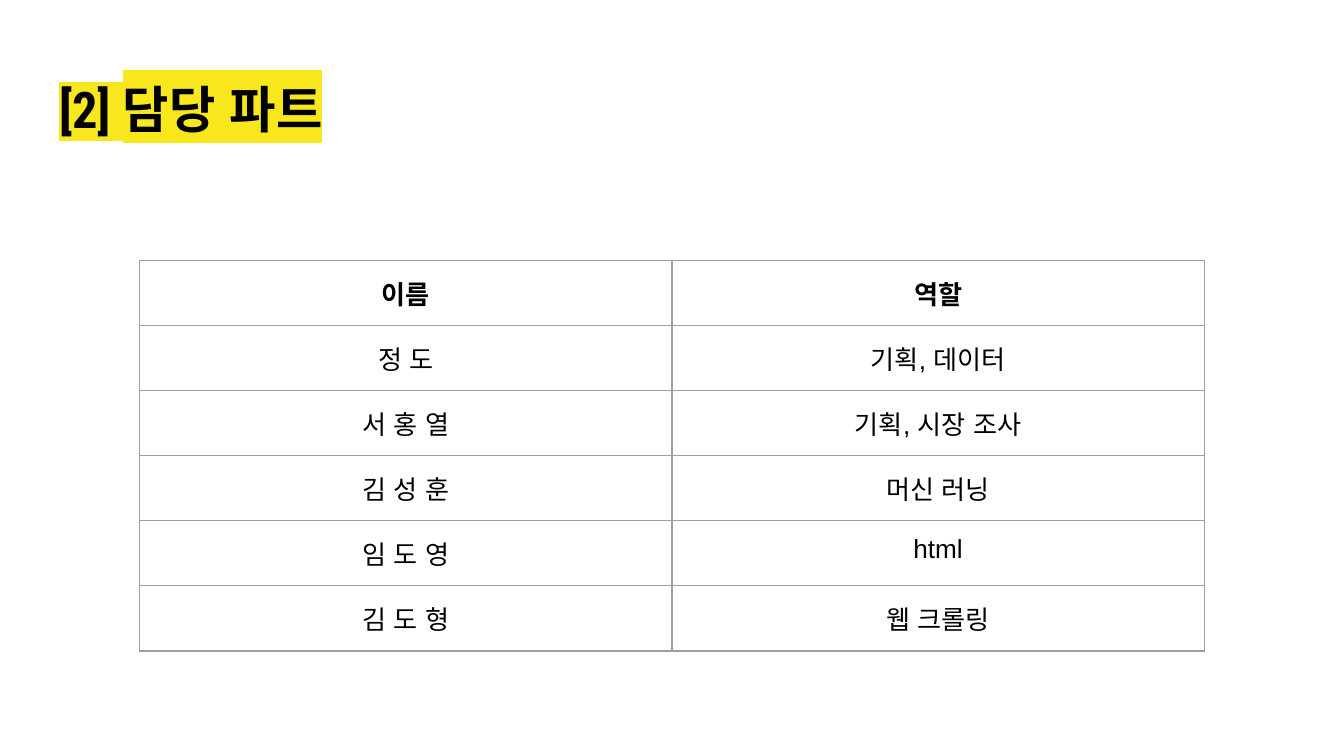
from dataclasses import dataclass

from lxml.etree import SubElement
from pptx import Presentation
from pptx.dml.color import RGBColor
from pptx.enum.lang import MSO_LANGUAGE_ID
from pptx.enum.text import MSO_ANCHOR, MSO_AUTO_SIZE, PP_ALIGN
from pptx.oxml.ns import qn
from pptx.util import Inches, Pt


@dataclass(frozen=True)
class Theme:
    ink: str = "000000"
    paper: str = "FFFFFF"
    marker: str = "F8E71C"
    border: str = "9E9E9E"
    border_width: float = 0.75
    title_font: str = "Roboto Condensed"
    body_font: str = "Arial"
    title_size: int = 27
    body_size: int = 14
    inset: float = 0.1


THEME = Theme()
SLIDE_WIDTH = 10
SLIDE_HEIGHT = SLIDE_WIDTH * 9 / 16
TITLE = "[2] 담당 파트"
HEADER = ("이름", "역할")
MEMBERS = [
    ("정 도", "기획, 데이터"),
    ("서 홍 열", "기획, 시장 조사"),
    ("김 성 훈", "머신 러닝"),
    ("임 도 영", "html"),
    ("김 도 형", "웹 크롤링"),
]
TITLE_MARGIN, TITLE_TOP, TITLE_HEIGHT = 0.34, 0.49, 0.63
TABLE_MARGIN, TABLE_TOP, ROW_HEIGHT = 1.04, 1.94, 0.42


def add_color(parent, tag, color):
    SubElement(SubElement(parent, qn(tag)), qn("a:srgbClr"), val=color)


def write_text(frame, text, *, font, size, bold=False, align=PP_ALIGN.LEFT, highlight=None):
    paragraph = frame.paragraphs[0]
    paragraph.alignment = align
    run = paragraph.add_run()
    run.text = text
    run.font.size = Pt(size)
    run.font.bold = bold
    run.font.language_id = MSO_LANGUAGE_ID.KOREAN
    run.font.color.rgb = RGBColor.from_string(THEME.ink)
    if highlight:
        add_color(run._r.get_or_add_rPr(), "a:highlight", highlight)
    run.font.name = font


def set_insets(target):
    for side in ("left", "right", "top", "bottom"):
        setattr(target, f"margin_{side}", Inches(THEME.inset))


def draw_borders(cell):
    properties = cell._tc.get_or_add_tcPr()
    for position, side in enumerate("LRTB"):
        line = SubElement(properties, qn(f"a:ln{side}"), w=str(Pt(THEME.border_width)))
        add_color(line, "a:solidFill", THEME.border)
        properties.insert(position, line)


def add_title(slide):
    title = slide.shapes.title
    title.left, title.top = Inches(TITLE_MARGIN), Inches(TITLE_TOP)
    title.width = Inches(SLIDE_WIDTH - 2 * TITLE_MARGIN)
    title.height = Inches(TITLE_HEIGHT)
    frame = title.text_frame
    frame.word_wrap = True
    frame.auto_size = MSO_AUTO_SIZE.NONE
    frame.vertical_anchor = MSO_ANCHOR.MIDDLE
    set_insets(frame)
    write_text(frame, TITLE, font=THEME.title_font, size=THEME.title_size,
               bold=True, highlight=THEME.marker)


def add_roles(slide):
    rows = [HEADER, *MEMBERS]
    table = slide.shapes.add_table(
        len(rows), len(HEADER), Inches(TABLE_MARGIN), Inches(TABLE_TOP),
        Inches(SLIDE_WIDTH - 2 * TABLE_MARGIN), Inches(ROW_HEIGHT * len(rows))).table
    table.horz_banding = False
    table.first_row = False
    for row_index, row in enumerate(rows):
        for column_index, text in enumerate(row):
            cell = table.cell(row_index, column_index)
            cell.fill.background()
            set_insets(cell)
            draw_borders(cell)
            write_text(cell.text_frame, text, font=THEME.body_font, size=THEME.body_size,
                       bold=row_index == 0, align=PP_ALIGN.CENTER)


def main():
    presentation = Presentation()
    presentation.slide_width = Inches(SLIDE_WIDTH)
    presentation.slide_height = Inches(SLIDE_HEIGHT)
    slide = presentation.slides.add_slide(presentation.slide_layouts.get_by_name("Title Only"))
    slide.background.fill.solid()
    slide.background.fill.fore_color.rgb = RGBColor.from_string(THEME.paper)
    add_title(slide)
    add_roles(slide)
    presentation.save("out.pptx")


if __name__ == "__main__":
    main()
